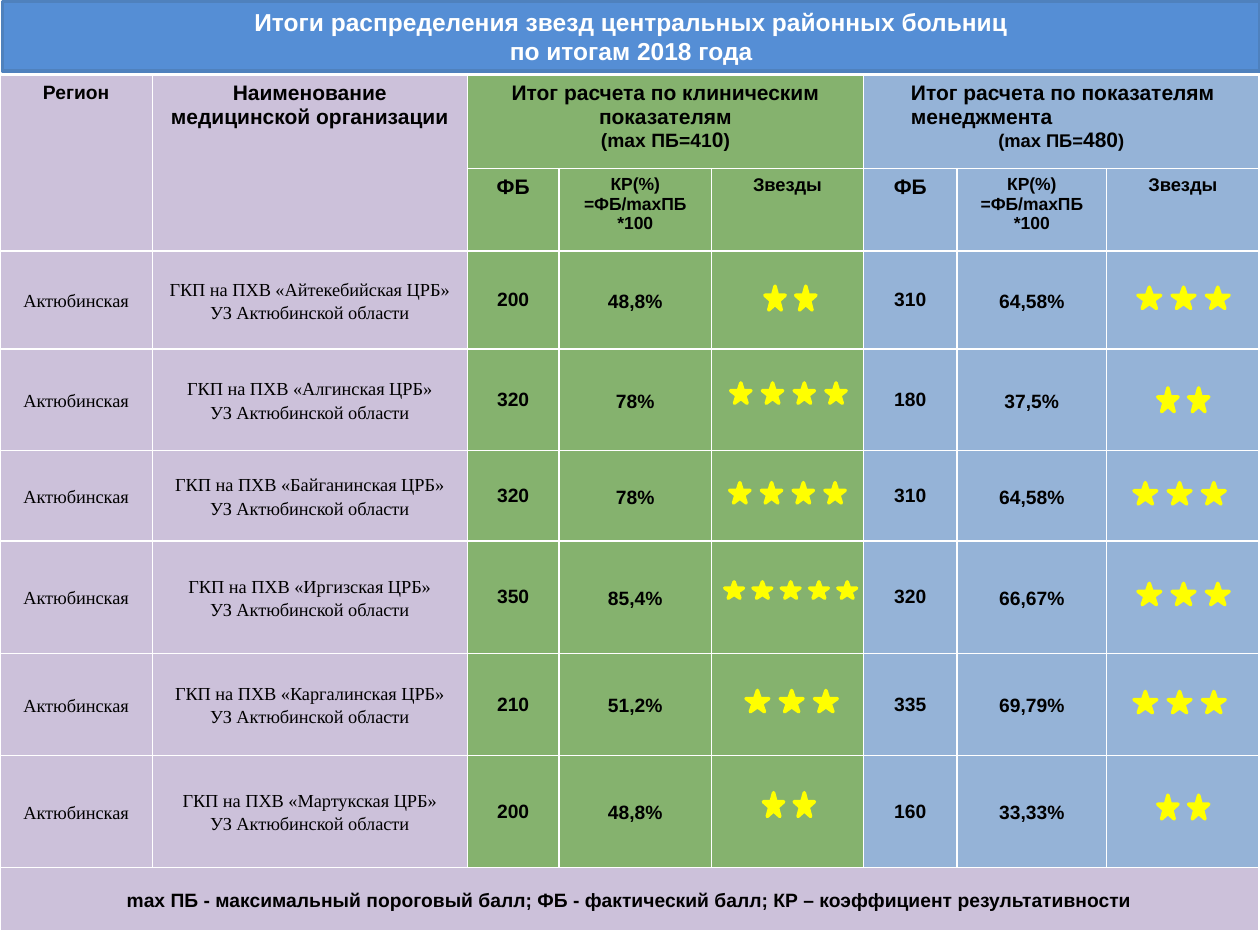
from lxml import etree
from pptx import Presentation
from pptx.dml.color import RGBColor
from pptx.enum import shapes, text
from pptx.oxml import ns
from pptx.util import Cm, Pt

WHITE = RGBColor(0xFF, 0xFF, 0xFF)
BLACK = RGBColor(0, 0, 0)
BLUE = RGBColor(0x55, 0x8E, 0xD5)
EDGE = RGBColor(0x4F, 0x81, 0xBD)
LILAC = RGBColor(0xCC, 0xC1, 0xDA)
GREEN = RGBColor(0x85, 0xB2, 0x6E)
SKY = RGBColor(0x95, 0xB3, 0xD7)
GOLD = RGBColor(0xFF, 0xFF, 0)
SANS, SERIF = "Arial", "Times New Roman"

TITLE = "Итоги распределения звезд центральных районных больниц\vпо итогам 2018 года"
NOTE = ("mах ПБ - максимальный пороговый балл; ФБ - фактический балл; "
        "КР – коэффициент результативности")
REGION, AREA = "Актюбинская", "УЗ Актюбинской области"
WIDTHS = [3.07, 6.35, 1.85, 3.07, 3.07, 1.88, 3.02, 3.07]
HEIGHTS = [1.88, 1.66, 1.98, 2.04, 1.83, 2.26, 2.06, 2.26, 1.27]

HEADS = [
    (0, (1, 0), LILAC, [[("Регион", 11)]]),
    (1, (1, 1), LILAC, [[("Наименование медицинской организации", 12)]]),
    (2, (0, 4), GREEN, [[("Итог расчета по клиническим показателям", 12)],
                        [("(mах ПБ=41", 11), ("0", 12), (")", 11)]]),
    (5, (0, 7), SKY, [[("Итог расчета по показателям менеджмента", 12)],
                      [("(mах ПБ=", 10.5), ("480", 12), (")", 10.5)]]),
]
SUBS = [
    [[("ФБ", 12)]],
    [[("КР(%)", 10)], [("=ФБ/mахПБ *100", 10)]],
    [[("Звезды", 10.5)]],
]
# name, then score, rate, star count, left and top for each half
ROWS = [
    ("Айтекебийская", ("200", "48,8%", 2, 15.42, 5.77), ("310", "64,58%", 3, 22.94, 5.79)),
    ("Алгинская", ("320", "78%", 4, 14.73, 7.72), ("180", "37,5%", 2, 23.34, 7.82)),
    ("Байганинская", ("320", "78%", 4, 14.71, 9.73), ("310", "64,58%", 3, 22.86, 9.73)),
    ("Иргизская", ("350", "85,4%", 5, 14.61, 11.73), ("320", "66,67%", 3, 22.94, 11.76)),
    ("Каргалинская", ("210", "51,2%", 3, 15.04, 13.92), ("335", "69,79%", 3, 22.86, 13.94)),
    ("Мартукская", ("200", "48,8%", 2, 15.39, 15.98), ("160", "33,33%", 2, 23.34, 16.03)),
]
STARS = {2: (0.41, 0.48, 0.62), 3: (0.46, 0.43, 0.69),
         4: (0.41, 0.41, 0.64), 5: (0.38, 0.33, 0.57)}
HALVES = [(2, GREEN), (5, SKY)]


def paint(cell, fill):
    props = cell._tc.get_or_add_tcPr()
    for side in ("a:lnL", "a:lnR", "a:lnT", "a:lnB"):
        line = etree.SubElement(props, ns.qn(side), w=str(Pt(1)))
        solid = etree.SubElement(line, ns.qn("a:solidFill"))
        etree.SubElement(solid, ns.qn("a:srgbClr"), val=str(WHITE))
    cell.fill.solid()
    cell.fill.fore_color.rgb = fill


def write(cell, paras, face=SANS, bold=True, gap=None):
    frame = cell.text_frame
    for i, runs in enumerate(paras):
        para = frame.add_paragraph() if i else frame.paragraphs[0]
        para.alignment = text.PP_ALIGN.CENTER
        para.line_spacing = gap
        for words, size in runs:
            run = para.add_run()
            run.text = words
            font = run.font
            font.name, font.size, font.bold = face, Pt(size), bold
            font.color.rgb = BLACK


def body(cell, lines, size=11, face=SANS, bold=True, gap=1.15, pad=0.18):
    cell.vertical_anchor = text.MSO_ANCHOR.MIDDLE
    cell.margin_left = cell.margin_right = Cm(pad)
    cell.margin_top = cell.margin_bottom = 0
    write(cell, [[(line, size)] for line in lines], face, bold, gap)


def rate(slide, count, left, top):
    wide, high, step = STARS[count]
    group = slide.shapes.add_group_shape()
    for i in range(count):
        star = group.shapes.add_shape(shapes.MSO_SHAPE.STAR_5_POINT,
                                      Cm(left + i * step), Cm(top), Cm(wide), Cm(high))
        star.shadow.inherit = False
        star.fill.solid()
        star.fill.fore_color.rgb = GOLD
        star.line.color.rgb = GOLD
        star.line.width = Pt(2)


def head(slide):
    bar = slide.shapes.add_shape(shapes.MSO_SHAPE.RECTANGLE,
                                 Cm(0.05), Cm(0.03), Cm(25.35), Cm(1.4))
    bar.shadow.inherit = False
    bar.fill.solid()
    bar.fill.fore_color.rgb = BLUE
    bar.line.color.rgb = EDGE
    bar.line.width = Pt(2)
    frame = bar.text_frame
    frame.word_wrap = True
    frame.vertical_anchor = text.MSO_ANCHOR.MIDDLE
    frame.text = TITLE
    para = frame.paragraphs[0]
    para.alignment = text.PP_ALIGN.CENTER
    for run in para.runs:
        font = run.font
        font.name, font.size, font.bold = SANS, Pt(14), True
        font.color.rgb = WHITE


def grid(slide):
    table = slide.shapes.add_table(len(HEIGHTS), len(WIDTHS), 0, Cm(1.52),
                                   Cm(sum(WIDTHS)), Cm(sum(HEIGHTS))).table
    table.first_row = table.horz_banding = False
    for col, wide in zip(table.columns, WIDTHS):
        col.width = Cm(wide)
    for row, high in zip(table.rows, HEIGHTS):
        row.height = Cm(high)
    last = len(HEIGHTS) - 1
    for r in range(len(HEIGHTS)):
        for c in range(len(WIDTHS)):
            fill = LILAC if c < 2 or r == last else GREEN if c < 5 else SKY
            paint(table.cell(r, c), fill)

    for col, end, fill, paras in HEADS:
        cell = table.cell(0, col)
        cell.merge(table.cell(*end))
        write(cell, paras)
    para = table.cell(0, 5).text_frame.paragraphs[0]
    para.alignment = text.PP_ALIGN.LEFT
    para._p.get_or_add_pPr().set("marL", str(Cm(0.7)))
    for start, fill in HALVES:
        for i, paras in enumerate(SUBS):
            write(table.cell(1, start + i), paras)

    for r, (name, *halves) in enumerate(ROWS, 2):
        body(table.cell(r, 0), [REGION], 10.5, SERIF, False)
        body(table.cell(r, 1), [f"ГКП на ПХВ «{name} ЦРБ»", AREA], 10.5, SERIF, False)
        for (start, fill), (score, ratio, *stars) in zip(HALVES, halves):
            body(table.cell(r, start), [score], gap=None, pad=0.03)
            body(table.cell(r, start + 1), [ratio])
            rate(slide, *stars)

    foot = table.cell(last, 0)
    foot.merge(table.cell(last, len(WIDTHS) - 1))
    body(foot, [NOTE])


def main():
    deck = Presentation()
    deck.slide_width, deck.slide_height = Cm(25.4), Cm(19.05)
    slide = deck.slides.add_slide(deck.slide_layouts[6])
    head(slide)
    grid(slide)
    deck.save("out.pptx")


if __name__ == "__main__":
    main()
